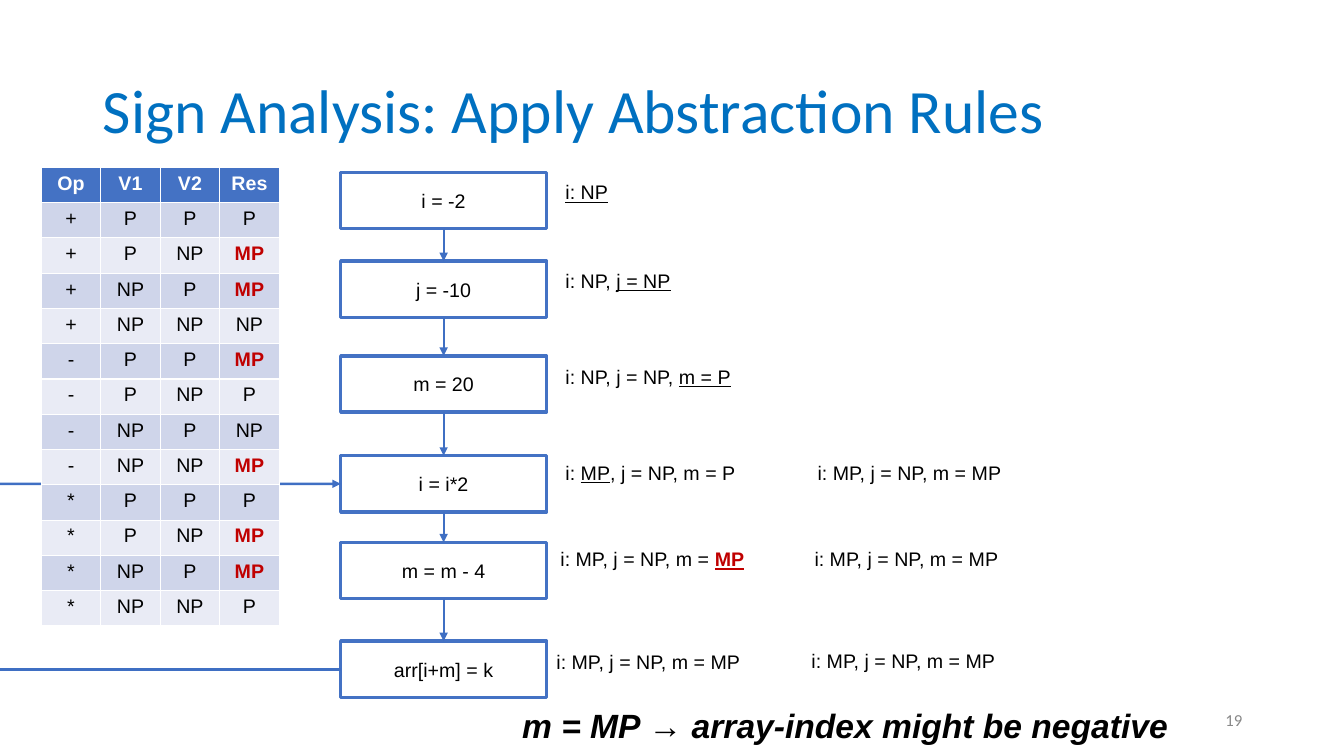
from lxml.etree import SubElement
from pptx import Presentation
from pptx.dml.color import RGBColor
from pptx.enum.shapes import MSO_CONNECTOR, MSO_SHAPE
from pptx.enum.text import MSO_ANCHOR, PP_ALIGN
from pptx.oxml.ns import qn
from pptx.util import Inches, Pt

TITLE_BLUE = RGBColor(0x00, 0x70, 0xC0)
BLUE = RGBColor(0x44, 0x72, 0xC4)
ARROW_BLUE = RGBColor(0x3F, 0x6F, 0xC3)
DARK_BAND = RGBColor(0xCF, 0xD5, 0xEA)
LIGHT_BAND = RGBColor(0xE9, 0xEB, 0xF5)
RED = RGBColor(0xC0, 0x00, 0x00)
GRAY = RGBColor(0x88, 0x88, 0x88)
BLACK = RGBColor(0x00, 0x00, 0x00)
WHITE = RGBColor(0xFF, 0xFF, 0xFF)

BOX_LEFT, BOX_WIDTH, BOX_HEIGHT = 3.38, 2.04, 0.56
COLUMN_WIDTH, ROW_HEIGHT = 0.59, 0.35
NOTE_WIDTH, NOTE_HEIGHT = 2.41, 0.4

presentation = Presentation()
presentation.slide_width = Inches(13.33)
presentation.slide_height = Inches(7.5)
slide = presentation.slides.add_slide(presentation.slide_layouts[5])


def add_text(left, top, width, height, runs, size=14, font="Arial", color=BLACK):
    """Add a text box with one paragraph of (text, style) runs and return the paragraph.

    Style letters: u underlined, r bold red.
    """
    frame = slide.shapes.add_textbox(
        Inches(left), Inches(top), Inches(width), Inches(height)).text_frame
    frame.word_wrap = True
    paragraph = frame.paragraphs[0]
    paragraph.font.size = Pt(size)
    paragraph.font.name = font
    for text, style in runs:
        run = paragraph.add_run()
        run.text = text
        run.font.color.rgb = RED if "r" in style else color
        if "r" in style:
            run.font.bold = True
        if "u" in style:
            run.font.underline = True
    return paragraph


def add_line(start, end, width, arrow=True):
    """Each end is a (shape, side) pair, or an (x, y) pair of inches."""
    line = slide.shapes.add_connector(MSO_CONNECTOR.STRAIGHT, 0, 0, 0, 0)
    if isinstance(start[0], (int, float)):
        line.begin_x, line.begin_y = Inches(start[0]), Inches(start[1])
    else:
        line.begin_connect(*start)
    line.end_connect(*end)
    line.line.color.rgb = ARROW_BLUE
    line.line.width = Pt(width)
    if arrow:
        SubElement(line.line._get_or_add_ln(), qn("a:tailEnd"), type="triangle")
    SubElement(line._element.spPr, qn("a:effectLst"))


# Title and slide number
title = slide.shapes.title
title.left, title.top = Inches(0.92), Inches(0.4)
title.width, title.height = Inches(11.5), Inches(1.45)
title.text_frame.text = "Sign Analysis: Apply Abstraction Rules"
title.text_frame.vertical_anchor = MSO_ANCHOR.MIDDLE
paragraph = title.text_frame.paragraphs[0]
paragraph.alignment = PP_ALIGN.LEFT
paragraph.line_spacing = 0.9
paragraph.font.size = Pt(44)
paragraph.font.name = "Calibri"
paragraph.font.color.rgb = TITLE_BLUE

number = add_text(9.42, 6.99, 3, 0.32, [("19", "")], 12, "Calibri", GRAY)
number.alignment = PP_ALIGN.RIGHT

# Program flow
statements = [
    ("i = -2", 1.71), ("j = -10", 2.59), ("m = 20", 3.53),
    ("i = i*2", 4.52), ("m = m - 4", 5.38), ("arr[i+m] = k", 6.36),
]
boxes = []
for statement, top in statements:
    box = slide.shapes.add_shape(
        MSO_SHAPE.RECTANGLE, Inches(BOX_LEFT), Inches(top),
        Inches(BOX_WIDTH), Inches(BOX_HEIGHT))
    box.shadow.inherit = False
    box.fill.background()
    box.line.color.rgb = BLUE
    box.line.width = Pt(2.5)
    box.text_frame.text = statement
    box.text_frame.vertical_anchor = MSO_ANCHOR.MIDDLE
    paragraph = box.text_frame.paragraphs[0]
    paragraph.alignment = PP_ALIGN.CENTER
    paragraph.font.size = Pt(14)
    paragraph.font.name = "Arial"
    paragraph.font.color.rgb = BLACK
    boxes.append(box)

for upper, lower in zip(boxes, boxes[1:]):
    add_line((upper, 2), (lower, 0), 1.5)

# The loop back runs along the left edge of the slide
loop_start, loop_end = boxes[5], boxes[3]
add_line((0, 6.64), (loop_start, 1), 1.75, arrow=False)
add_line((0, 4.8), (loop_end, 1), 1.75)

# Abstraction rules
rules = [
    ("Op", "V1", "V2", "Res"),
    ("+", "P", "P", "P"), ("+", "P", "NP", "MP"),
    ("+", "NP", "P", "MP"), ("+", "NP", "NP", "NP"),
    ("-", "P", "P", "MP"), ("-", "P", "NP", "P"),
    ("-", "NP", "P", "NP"), ("-", "NP", "NP", "MP"),
    ("*", "P", "P", "P"), ("*", "P", "NP", "MP"),
    ("*", "NP", "P", "MP"), ("*", "NP", "NP", "P"),
]
table = slide.shapes.add_table(
    len(rules), 4, Inches(0.41), Inches(1.66),
    Inches(4 * COLUMN_WIDTH), Inches(len(rules) * ROW_HEIGHT)).table
for row, rule in enumerate(rules):
    for column, text in enumerate(rule):
        cell = table.cell(row, column)
        cell.text = text
        cell.fill.solid()
        paragraph = cell.text_frame.paragraphs[0]
        paragraph.alignment = PP_ALIGN.CENTER
        paragraph.font.size = Pt(14)
        paragraph.font.name = "Arial"
        paragraph.font.bold = row == 0 or text == "MP"
        if row == 0:
            cell.fill.fore_color.rgb = BLUE
            paragraph.font.color.rgb = WHITE
        else:
            cell.fill.fore_color.rgb = DARK_BAND if row % 2 else LIGHT_BAND
            paragraph.font.color.rgb = RED if text == "MP" else BLACK

# Abstract state after each statement, first and second pass
final_state = [("i: MP, j = NP, m = MP", "")]
states = [
    (5.51, 1.74, [("i: NP", "u")]),
    (5.51, 2.62, [("i: NP, ", ""), ("j = NP", "u")]),
    (5.51, 3.57, [("i: NP, j = NP, ", ""), ("m = P", "u")]),
    (5.51, 4.52, [("i: ", ""), ("MP", "u"), (", j = NP, m = P", "")]),
    (5.46, 5.38, [("i: MP, j = NP, m = ", ""), ("MP", "ur")]),
    (5.42, 6.4, final_state),
    (8.01, 4.52, final_state),
    (7.98, 5.38, final_state),
    (7.95, 6.39, final_state),
]
for left, top, runs in states:
    add_text(left, top, NOTE_WIDTH, NOTE_HEIGHT, runs)

conclusion = add_text(
    5.08, 6.94, 6.68, 0.5, [("m = MP → array-index might be negative", "")], 24)
conclusion.font.bold = True
conclusion.font.italic = True

presentation.save("out.pptx")
